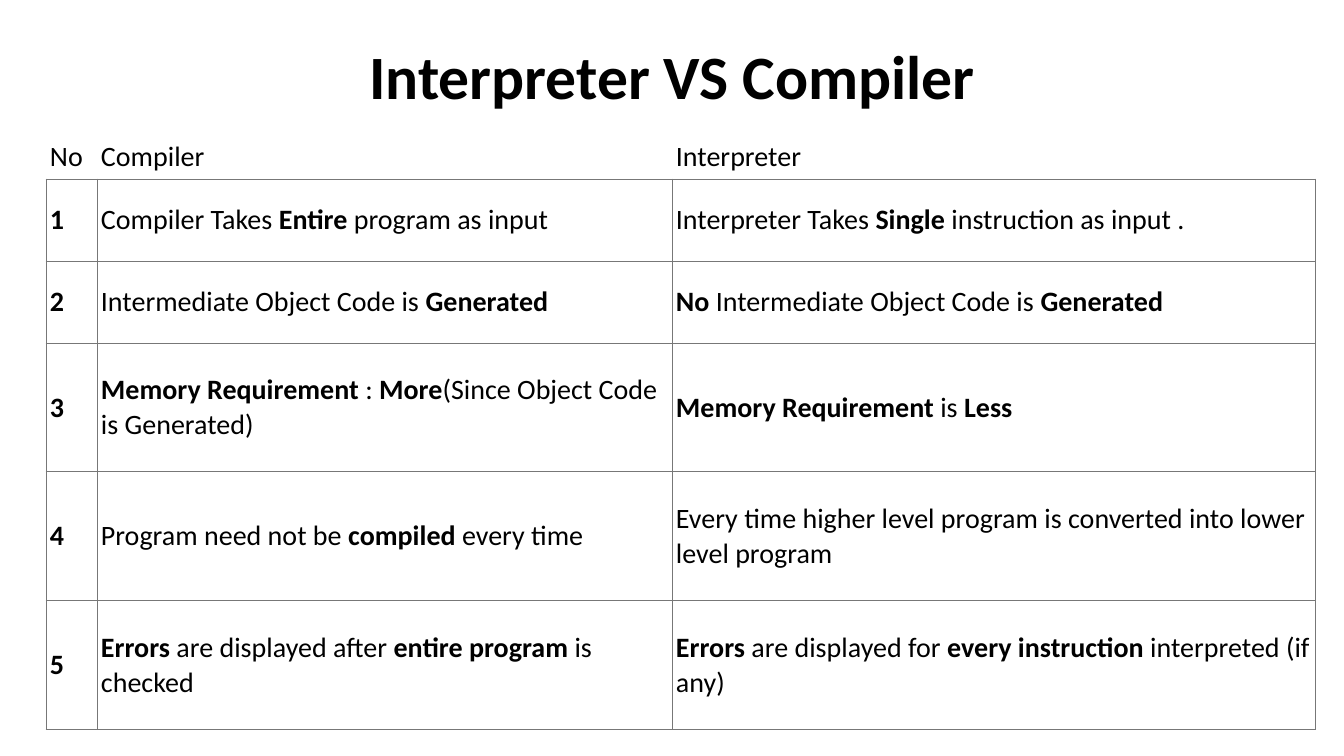
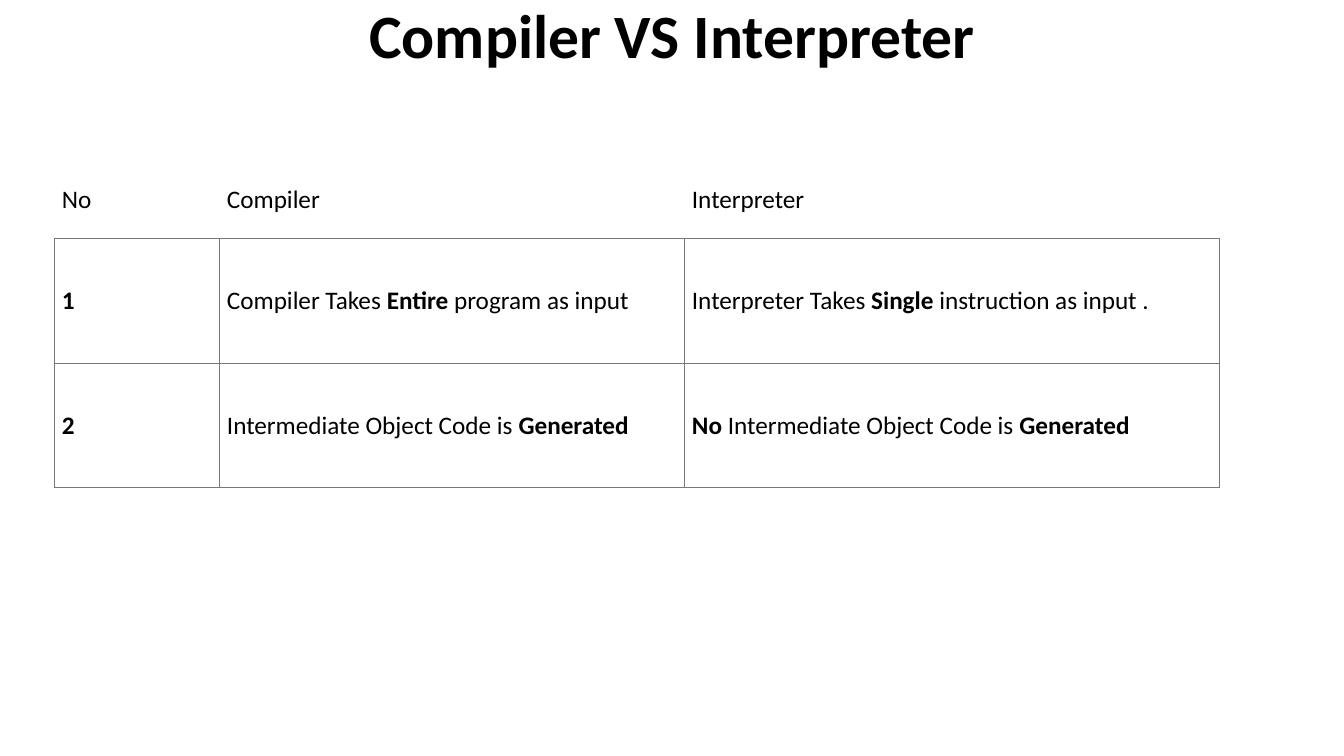
from lxml.etree import SubElement as Sub
from pptx import Presentation
from pptx.dml.color import RGBColor as Rgb
from pptx.enum.text import MSO_ANCHOR as Anchor, MSO_AUTO_SIZE as Auto, PP_ALIGN as Align
from pptx.oxml.ns import qn
from pptx.util import Emu, Pt

HUES = {"ink": "000000", "paper": "FFFFFF", "rule": "777777"}
FACE = "Calibri"
PLAIN = "{2D5ABB26-0587-4C30-8999-92F81FD0307C}"
SCALE = 914400 / 100.8


def px(n):
    return Emu(round(n * SCALE))


def write(para, text, size, bold=False):
    for i, part in enumerate(text.split("*")):
        if part:
            run = para.add_run()
            run.text = part
            look = {"name": FACE, "size": Pt(size), "bold": bold or i % 2 == 1}
            for key, val in look.items():
                setattr(run.font, key, val)
            run.font.color.rgb = Rgb.from_string(HUES["ink"])


HEAD = ("No", "Compiler", "Interpreter")
FACTS = [
    ("Compiler Takes *Entire* program as input",
     "Interpreter Takes *Single* instruction as input ."),
    ("Intermediate Object Code is *Generated*",
     "*No* Intermediate Object Code is *Generated*"),
    ("*Memory Requirement* : *More*(Since Object Code is Generated)",
     "*Memory Requirement* is *Less*"),
    ("Program need not be *compiled *every time",
     "Every time higher level program is converted into lower level program"),
    ("*Errors* are displayed after *entire program* is checked",
     "*Errors* are displayed for *every instruction* interpreted (if any)"),
]
PAGES = [
    {"title": "Interpreter VS Compiler", "top": 40, "high": 80, "anchor": Anchor.MIDDLE,
     "at": (46, 135), "cols": (51, 575, 644), "rows": (44, 82, 82, 129, 129, 129),
     "size": 20, "pad": 4},
    {"title": "Compiler VS Interpreter", "top": 0, "high": 146, "anchor": Anchor.TOP,
     "at": (54, 162), "cols": (165, 465, 536), "rows": (76, 125, 125),
     "size": 18, "pad": 8},
]

deck = Presentation()
deck.slide_width, deck.slide_height = px(1344), px(756)

for page in PAGES:
    slide = deck.slides.add_slide(deck.slide_layouts[5])
    title = slide.shapes.title
    box = {"left": 93, "top": page["top"], "width": 1159, "height": page["high"]}
    for key, val in box.items():
        setattr(title, key, px(val))
    frame = title.text_frame
    form = {"auto_size": Auto.NONE, "word_wrap": True, "vertical_anchor": page["anchor"]}
    for key, val in form.items():
        setattr(frame, key, val)
    para = frame.paragraphs[0]
    para.alignment, para.line_spacing = Align.CENTER, 0.9
    write(para, page["title"], 44, True)

    cols, rows = page["cols"], page["rows"]
    left, top = page["at"]
    area = [px(n) for n in (left, top, sum(cols), sum(rows))]
    grid = slide.shapes.add_table(len(rows), len(cols), *area).table
    grid.first_row = grid.horz_banding = False
    grid._tbl.tblPr.find(qn("a:tableStyleId")).text = PLAIN
    for col, wide in zip(grid.columns, cols):
        col.width = px(wide)
    for row, high in zip(grid.rows, rows):
        row.height = px(high)

    lines = [HEAD] + [(f"*{n}*", *fact) for n, fact in enumerate(FACTS, 1)]
    for r, line in enumerate(lines[:len(rows)]):
        for c, text in enumerate(line):
            cell = grid.cell(r, c)
            cell.vertical_anchor = Anchor.MIDDLE
            for side in ("left", "right", "top", "bottom"):
                setattr(cell, f"margin_{side}", px(page["pad"]))
            write(cell.text_frame.paragraphs[0], text, page["size"])
            props = cell._tc.get_or_add_tcPr()
            for side in "LRTB" if r else "B":
                edge = Sub(props, qn(f"a:ln{side}"), w=str(Pt(0.75)))
                Sub(Sub(edge, qn("a:solidFill")), qn("a:srgbClr"), val=HUES["rule"])
            cell.fill.solid()
            cell.fill.fore_color.rgb = Rgb.from_string(HUES["paper"])

deck.save("out.pptx")
